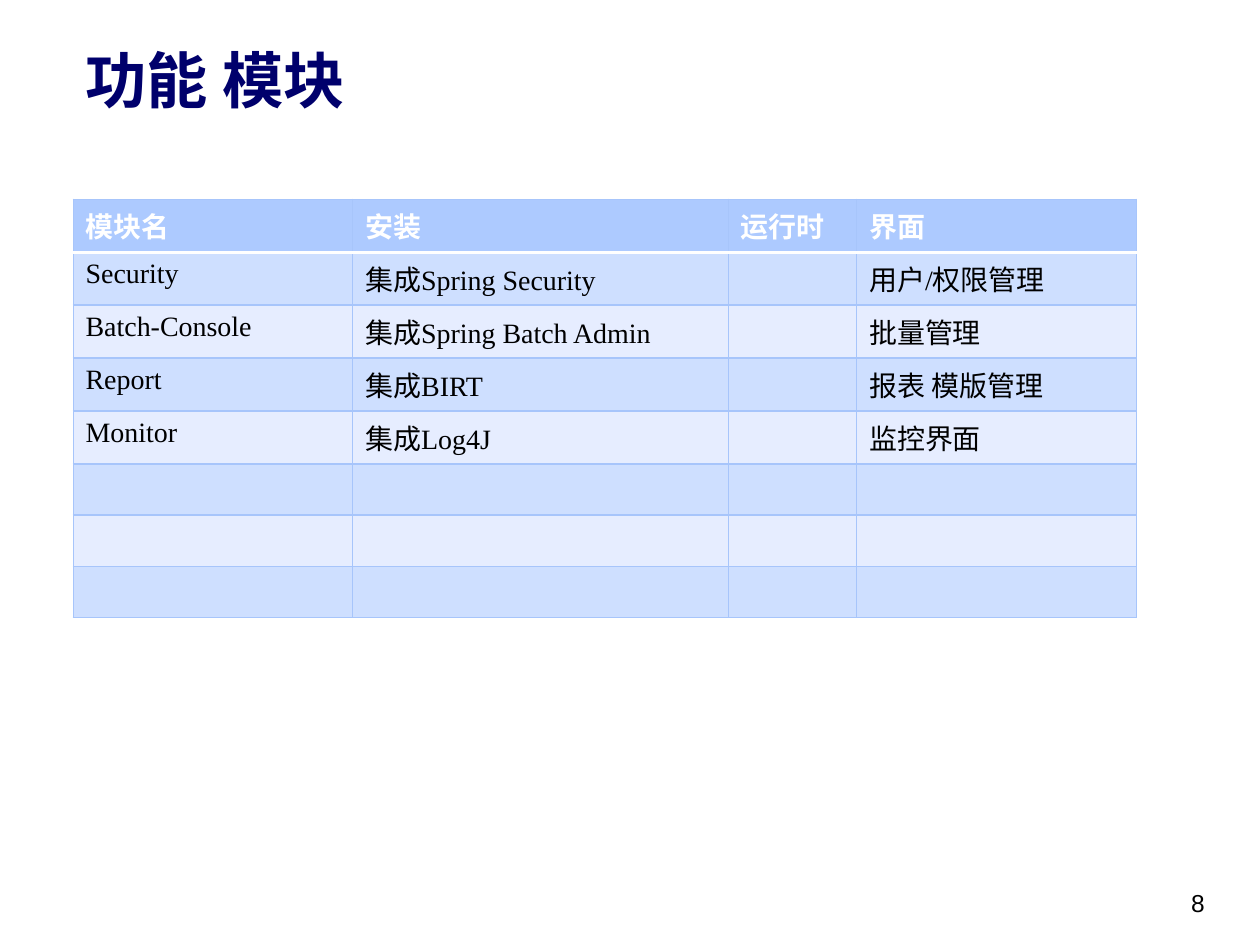
from lxml import etree
from pptx import Presentation
from pptx.dml.color import RGBColor
from pptx.enum import text
from pptx.oxml.ns import qn
from pptx.util import Inches, Pt

# Content
TITLE = "功能 模块"
PAGE_NUMBER = "8"
HEADER = ("模块名", "安装", "运行时", "界面")
MODULES = [
    ("Security", "集成Spring Security", "", "用户/权限管理"),
    ("Batch-Console", "集成Spring Batch Admin", "", "批量管理"),
    ("Report", "集成BIRT", "", "报表 模版管理"),
    ("Monitor", "集成Log4J", "", "监控界面"),
]
SPARE_ROWS = 3

# Look
COLORS = {"title": "00006C", "header": "ADCAFF", "odd": "CEDFFF", "even": "E6EDFF",
          "border": "A7C5FB", "white": "FFFFFF", "black": "000000"}
COLUMN_WIDTHS = (2.22, 2.98, 1.02, 2.22)
TEXT_ROW, SPARE_ROW = 0.42, 0.405
FORMATS = {
    "title": {"name": "Arial Narrow", "size": Pt(35), "bold": True},
    "header": {"name": "Times New Roman", "size": Pt(16), "bold": True},
    "body": {"name": "Times New Roman", "size": Pt(16), "bold": False},
    "page": {"name": "Arial", "size": Pt(14), "bold": False},
}


def write(frame, words, style, color, align=text.PP_ALIGN.LEFT):
    paragraph = frame.paragraphs[0]
    paragraph.alignment = align
    run = paragraph.add_run()
    run.text = words
    for key, value in FORMATS[style].items():
        setattr(run.font, key, value)
    run.font.color.rgb = RGBColor.from_string(COLORS[color])


def add_borders(cell, sides):
    """Cell lines go ahead of the fill, in the order left, right, top, bottom."""
    properties = cell._tc.get_or_add_tcPr()
    for place, (side, (color, points)) in enumerate(sides.items()):
        line = etree.Element(qn(f"a:ln{side}"), w=str(Pt(points)))
        fill = etree.SubElement(line, qn("a:solidFill"))
        etree.SubElement(fill, qn("a:srgbClr"), val=COLORS[color])
        properties.insert(place, line)


prs = Presentation()
prs.slide_width, prs.slide_height = Inches(10), Inches(7.5)
slide = prs.slides.add_slide(prs.slide_layouts[5])

# Title
title = slide.shapes.title
title.left, title.top, title.width, title.height = map(Inches, (0.58, 0.17, 8.17, 0.92))
title.text_frame.vertical_anchor = text.MSO_ANCHOR.MIDDLE
write(title.text_frame, TITLE, "title", "title")

# Module table
rows = [HEADER, *MODULES, *[("",) * len(HEADER)] * SPARE_ROWS]
heights = [TEXT_ROW if any(row) else SPARE_ROW for row in rows]
modules = slide.shapes.add_table(
    len(rows), len(HEADER), Inches(0.58), Inches(1.58),
    Inches(sum(COLUMN_WIDTHS)), Inches(sum(heights))).table
for column, width in zip(modules.columns, COLUMN_WIDTHS):
    column.width = Inches(width)

for r, (row, height) in enumerate(zip(rows, heights)):
    modules.rows[r].height = Inches(height)
    band = "header" if r == 0 else ("odd" if r % 2 else "even")
    sides = dict.fromkeys("LRTB", ("border", 0.75))
    if r == 0:
        sides["B"] = ("white", 2)
    elif r == 1:
        sides["T"] = ("white", 2)
    for c, words in enumerate(row):
        cell = modules.cell(r, c)
        cell.fill.solid()
        cell.fill.fore_color.rgb = RGBColor.from_string(COLORS[band])
        add_borders(cell, sides)
        if words:
            write(cell.text_frame, words, "body" if r else "header",
                  "black" if r else "white")

# Page number
page = slide.shapes.add_textbox(*map(Inches, (7.58, 7, 2.08, 0.33))).text_frame
page.word_wrap = True
write(page, PAGE_NUMBER, "page", "black", text.PP_ALIGN.RIGHT)

prs.save("out.pptx")
